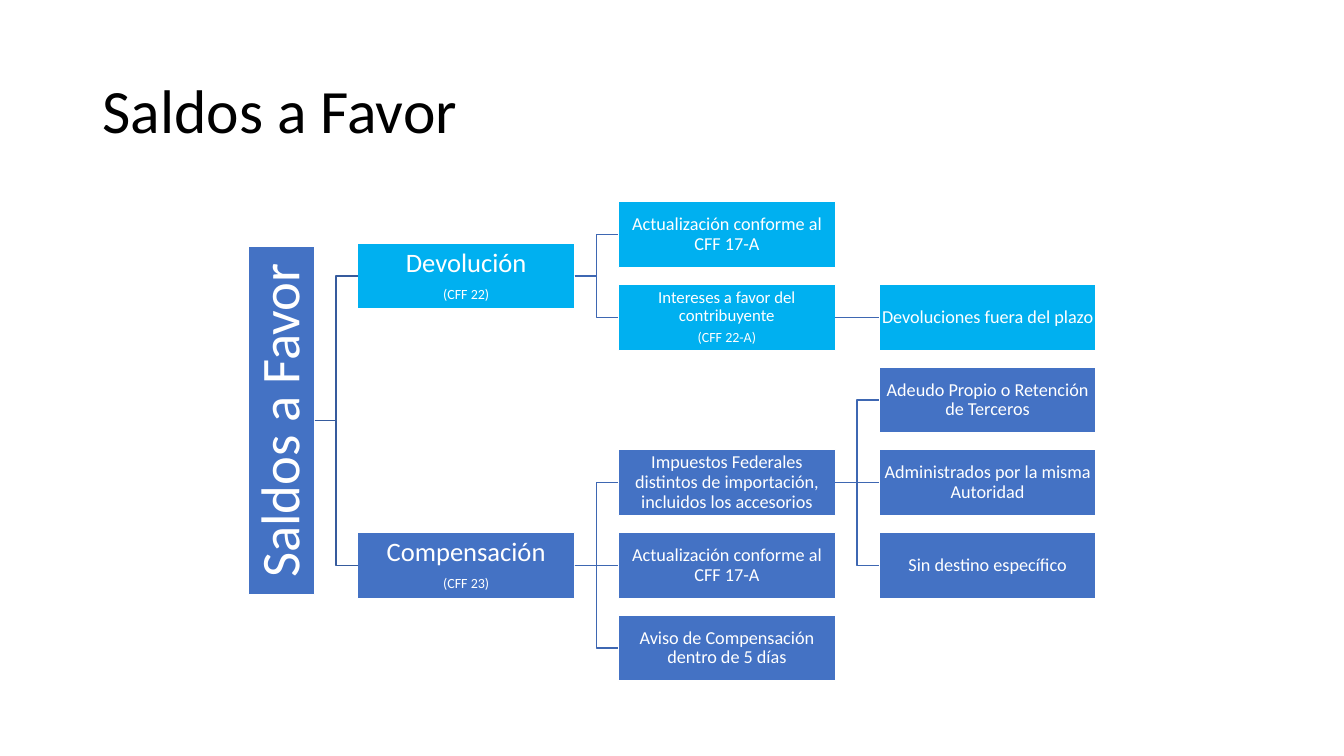
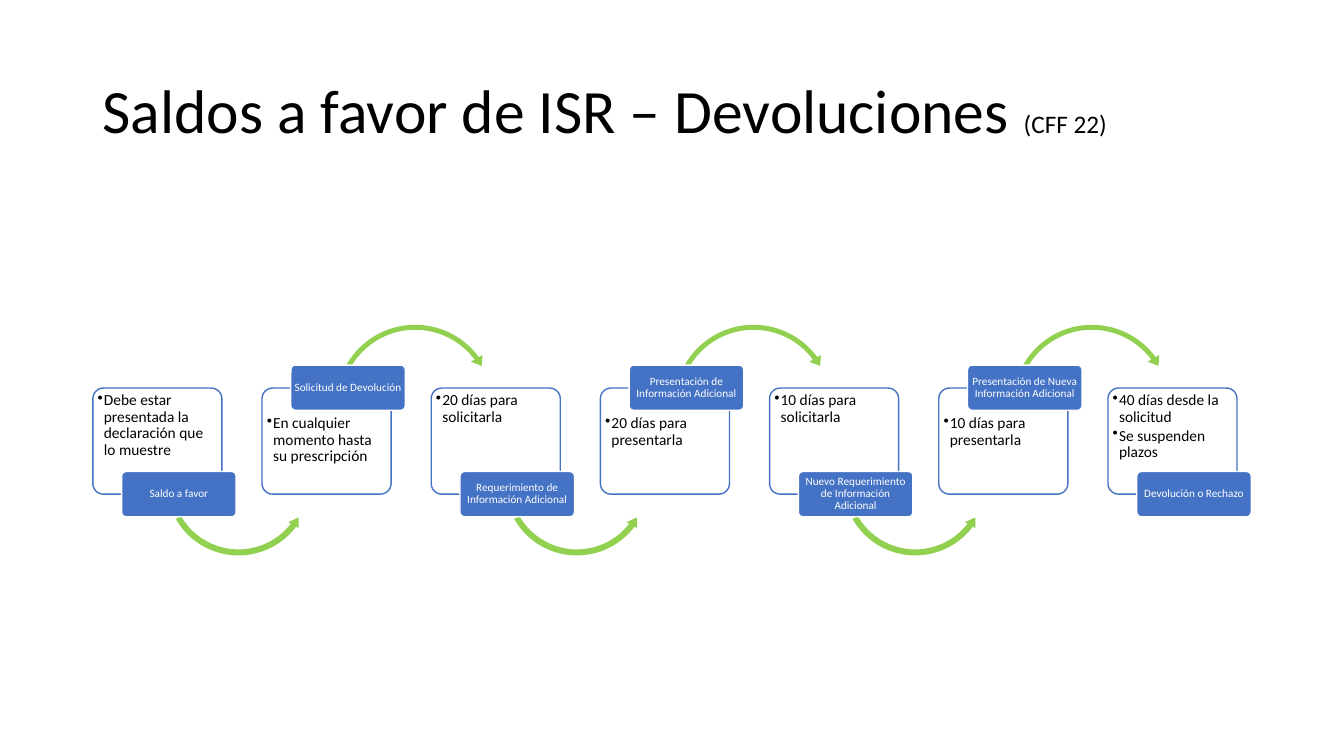
"""Build two slides on tax balances: a decision tree and a refund timeline."""
from lxml import etree
from pptx import Presentation
from pptx.dml.color import RGBColor
from pptx.enum.shapes import MSO_CONNECTOR, MSO_SHAPE
from pptx.enum.text import MSO_ANCHOR, PP_ALIGN
from pptx.oxml.ns import qn
from pptx.util import Pt

RECT, ROUNDED = MSO_SHAPE.RECTANGLE, MSO_SHAPE.ROUNDED_RECTANGLE
ARC_OVER, ARC_UNDER = MSO_SHAPE.CIRCULAR_ARROW, MSO_SHAPE.LEFT_CIRCULAR_ARROW
STRAIGHT, ELBOW = MSO_CONNECTOR.STRAIGHT, MSO_CONNECTOR.ELBOW
TOP, MIDDLE = MSO_ANCHOR.TOP, MSO_ANCHOR.MIDDLE
LEFT, CENTER = PP_ALIGN.LEFT, PP_ALIGN.CENTER

FONT = "Calibri"
BLACK, WHITE = "000000", "FFFFFF"
BLUE, SKY, GREEN = "4472C4", "00B0F0", "92D050"
TRUNK, BRANCH = "365B9D", "3E67B2"


def rgb(value):
    return RGBColor.from_string(value)


class Deck:
    def __init__(self):
        self.prs = Presentation()
        self.prs.slide_width, self.prs.slide_height = Pt(960), Pt(540)
        self.slide = None

    def new_slide(self, title, note=None):
        self.slide = self.prs.slides.add_slide(self.prs.slide_layouts[6])
        heading = self.slide.shapes.add_textbox(Pt(66.2), Pt(28.8), Pt(828), Pt(104.4))
        self.label(heading, [(title, 44)], BLACK, align=LEFT, insets=(7.2, 3.6, 7.2, 3.6))
        if note:
            run = heading.text_frame.paragraphs[0].add_run()
            run.text = note
            self.style(run, 18, BLACK)

    def style(self, run, size, color):
        run.font.name, run.font.size = FONT, Pt(size)
        run.font.color.rgb = rgb(color)

    def label(self, shape, lines, color=WHITE, align=CENTER, anchor=MIDDLE,
              insets=(0.7, 0.7, 0.7, 0.7), gap=0.35, bullet=None):
        frame = shape.text_frame
        frame.word_wrap, frame.vertical_anchor = True, anchor
        (frame.margin_left, frame.margin_top,
         frame.margin_right, frame.margin_bottom) = map(Pt, insets)
        frame.text = "\n".join(text for text, _ in lines)
        for paragraph, (_, size) in zip(frame.paragraphs, lines):
            if bullet:
                props = paragraph._p.get_or_add_pPr()
                props.set("marL", str(Pt(4.5)))
                props.set("indent", str(Pt(-4.5)))
                etree.SubElement(props, qn("a:buChar")).set("char", bullet)
            paragraph.alignment, paragraph.line_spacing = align, 0.9
            if paragraph._p is not frame.paragraphs[-1]._p:
                paragraph.space_after = Pt(round(size * gap, 2))
            for run in paragraph.runs:
                self.style(run, size, color)

    def shape(self, kind, left, top, width, height, fill, line=None, adjust=(), opacity=None):
        shape = self.slide.shapes.add_shape(kind, Pt(left), Pt(top), Pt(width), Pt(height))
        shape.shadow.inherit = False
        shape.fill.solid()
        shape.fill.fore_color.rgb = rgb(fill)
        if opacity:
            color = shape._element.spPr.find(".//" + qn("a:srgbClr"))
            etree.SubElement(color, qn("a:alpha")).set("val", str(opacity * 1000))
        if line:
            shape.line.color.rgb, shape.line.width = rgb(line), Pt(1)
        else:
            shape.line.fill.background()
        for index, value in enumerate(adjust):
            shape.adjustments[index] = value
        return shape

    def link(self, parent, child, color):
        level = abs(parent.top + parent.height / 2 - child.top - child.height / 2) < Pt(1)
        link = self.slide.shapes.add_connector(STRAIGHT if level else ELBOW, 0, 0, 0, 0)
        link.begin_connect(parent, 3)
        link.end_connect(child, 1)
        link.line.color.rgb, link.line.width = rgb(color), Pt(1)
        etree.SubElement(link._element.spPr, qn("a:effectLst"))

    def node(self, column, row, fill, *lines):
        box = self.shape(RECT, 255.5 + column * 186.2, 144 + row * 59.04, 155, 47.3, fill, WHITE)
        self.label(box, lines)
        return box

    def step(self, index, tag, notes, last):
        left, tag_on_top = 66.3 + index * 120.85, index % 2 == 1
        card = self.shape(ROUNDED, left, 277.2, 92.2, 75.8, WHITE, BLUE, [0.1], opacity=90)
        self.label(card, [(note, 11) for note in notes], BLACK, LEFT, TOP,
                   (1.2, 17.2 if tag_on_top else 0.7, 0.8, 0.7), 0.15, "•")
        if not last and tag_on_top:
            self.shape(ARC_OVER, left + 50, 229, 118.8, 118.8, GREEN,
                       adjust=(0.03, 4.09, 194.16, 125.76, 0.04))
        elif not last:
            self.shape(ARC_UNDER, left + 50.4, 291.6, 107.3, 107.3, GREEN,
                       adjust=(0.04, 4.57, 22.33, 90.25, 0.04))
        stage = self.shape(ROUNDED, left + 20.6, 260.8 if tag_on_top else 336.8, 81.8, 32.3,
                           BLUE, WHITE, [0.1])
        self.label(stage, [(tag, 8)], insets=(1.2, 0.7, 1.2, 0.7))


def build_tree(deck):
    deck.new_slide("Saldos a Favor")
    root = deck.shape(RECT, 177.5, 176.3, 47.3, 248.4, BLUE, WHITE)
    deck.label(root, [("Saldos a Favor", 39)], insets=(2, 2, 2, 2))
    root.text_frame._txBody.bodyPr.set("vert", "vert270")

    refund = deck.node(0, 0.5, SKY, ("Devolución", 19), ("(CFF 22)", 10))
    offset = deck.node(0, 4, BLUE, ("Compensación", 19), ("(CFF 23)", 10))
    refund_update = deck.node(1, 0, SKY, ("Actualización conforme al CFF 17-A", 13))
    interest = deck.node(1, 1, SKY, ("Intereses a favor del contribuyente", 12), ("(CFF 22-A)", 10))
    federal = deck.node(
        1, 3, BLUE, ("Impuestos Federales distintos de importación, incluidos los accesorios", 13))
    offset_update = deck.node(1, 4, BLUE, ("Actualización conforme al CFF 17-A", 13))
    notice = deck.node(1, 5, BLUE, ("Aviso de Compensación dentro de 5 días", 13))
    late = deck.node(2, 1, SKY, ("Devoluciones fuera del plazo", 13))
    conditions = [deck.node(2, row, BLUE, (text, 13)) for row, text in enumerate((
        "Adeudo Propio o Retención de Terceros",
        "Administrados por la misma Autoridad",
        "Sin destino específico"), 2)]

    for parent, children, color in (
            (root, (refund, offset), TRUNK),
            (refund, (refund_update, interest), BRANCH),
            (interest, (late,), BRANCH),
            (offset, (federal, offset_update, notice), BRANCH),
            (federal, conditions, BRANCH)):
        for child in children:
            deck.link(parent, child, color)


def build_timeline(deck):
    deck.new_slide("Saldos a favor de ISR – Devoluciones ", "(CFF 22)")
    steps = (
        ("Saldo a favor", ["Debe estar presentada la declaración que lo muestre"]),
        ("Solicitud de Devolución", ["En cualquier momento hasta su prescripción"]),
        ("Requerimiento de Información Adicional", ["20 días para solicitarla"]),
        ("Presentación de Información Adicional", ["20 días para presentarla"]),
        ("Nuevo Requerimiento de Información Adicional", ["10 días para solicitarla"]),
        ("Presentación de Nueva Información Adicional", ["10 días para presentarla"]),
        ("Devolución o Rechazo", ["40 días desde la solicitud", "Se suspenden plazos"]),
    )
    for index, (tag, notes) in enumerate(steps):
        deck.step(index, tag, notes, index == len(steps) - 1)


def main():
    deck = Deck()
    build_tree(deck)
    build_timeline(deck)
    deck.prs.save("out.pptx")


if __name__ == "__main__":
    main()
